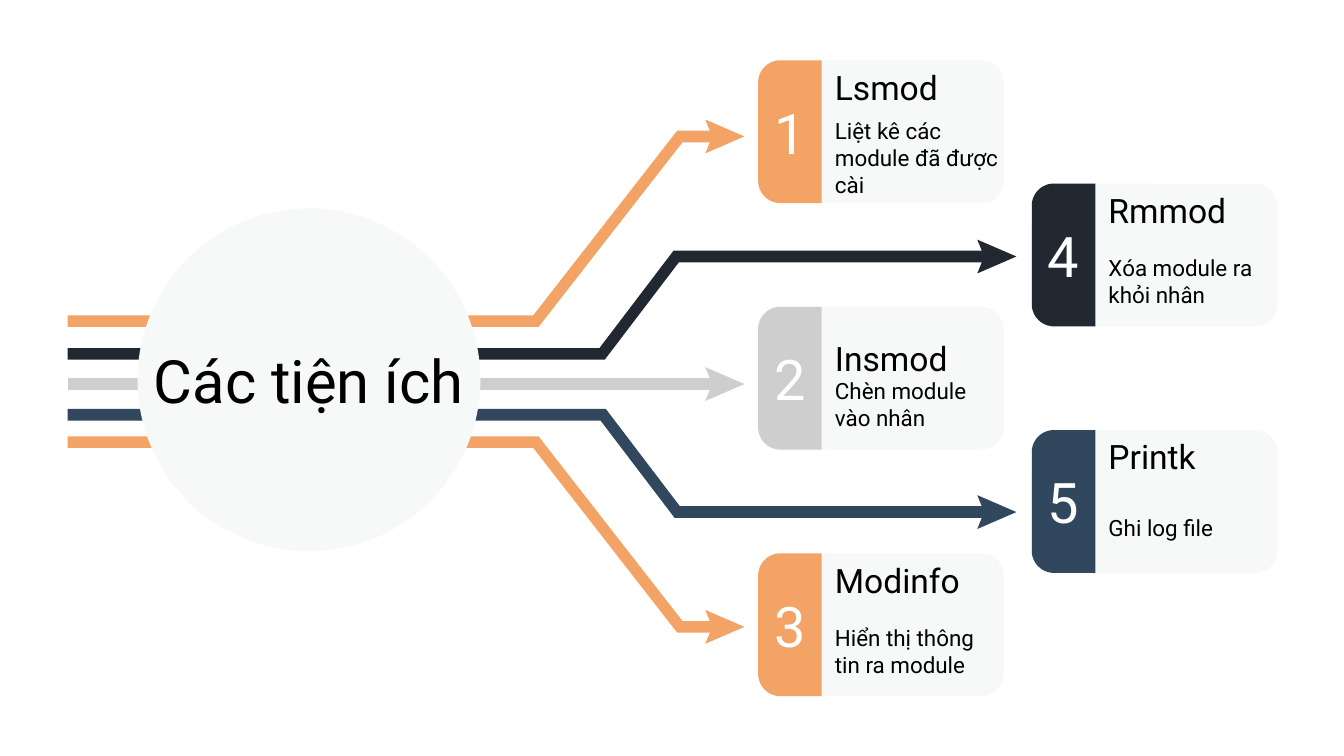
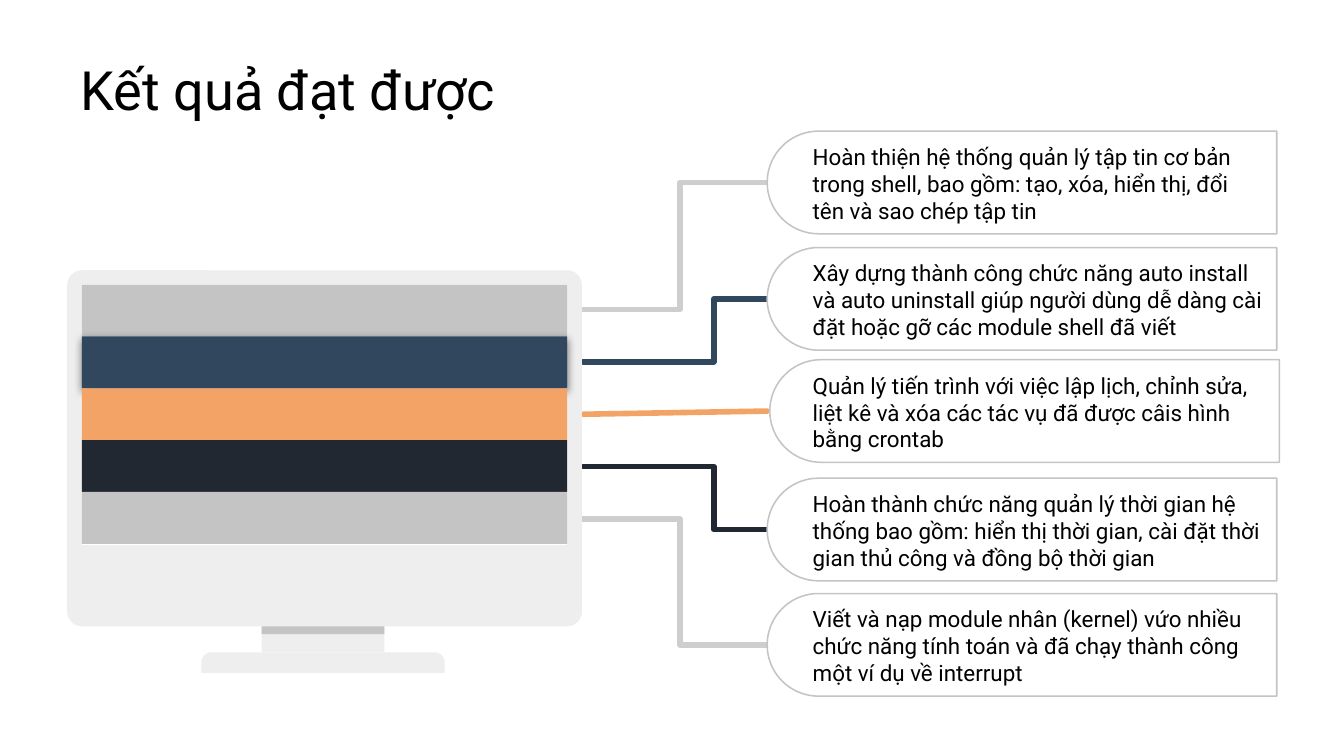
import math

import lxml.etree
import pptx
import pptx.dml.color
import pptx.enum.shapes
import pptx.enum.text
import pptx.oxml.ns
import pptx.util

Cm = pptx.util.Cm
SHAPES = pptx.enum.shapes.MSO_SHAPE
CONNECTORS = pptx.enum.shapes.MSO_CONNECTOR
ALIGN = pptx.enum.text.PP_ALIGN
qn = pptx.oxml.ns.qn

FONT = "Roboto"
COLORS = {
    "orange": "F2A365",
    "navy": "222831",
    "blue": "30475E",
    "silver": "CECECE",
    "gray": "C4C4C4",
    "frame": "EEEEEE",
    "pale": "F7F9F9",
    "white": "FFFFFF",
    "black": "000000",
}

UTILITIES = [
    dict(number="1", color="orange", name="Lsmod", detail="Liệt kê các module đã được cài",
         column=0, row=0, detail_width=3.68),
    dict(number="4", color="navy", name="Rmmod", detail="Xóa module ra khỏi nhân",
         column=1, row=1),
    dict(number="2", color="silver", name="Insmod", detail="Chèn module vào nhân",
         column=0, row=2, name_drop=0.46),
    dict(number="5", color="blue", name="Printk", detail="Ghi log file",
         column=1, row=3),
    dict(number="3", color="orange", name="Modinfo", detail="Hiển thị thông tin ra module",
         column=0, row=4),
]

PIPES = [
    dict(color="silver", start_y=7.26, end_y=7.26, bends=(), tip=14.07),
    dict(color="orange", start_y=6.07, end_y=2.58, bends=(10.13, 12.85), tip=14.07),
    dict(color="navy", start_y=6.69, end_y=4.85, bends=(11.38, 12.78), tip=19.21),
    dict(color="blue", start_y=7.84, end_y=9.68, bends=(11.4, 12.8), tip=19.21),
    dict(color="orange", start_y=8.36, end_y=11.85, bends=(10.13, 12.85), tip=14.07),
]

RESULTS = [
    dict(text="Hoàn thiện hệ thống quản lý tập tin cơ bản trong shell, bao gồm: tạo, xóa, "
              "hiển thị, đổi tên và sao chép tập tin",
         row="gray", link="silver", middle=3.45, turn=12.85),
    dict(text="Xây dựng thành công chức năng auto install và auto uninstall giúp người dùng "
              "dễ dàng cài đặt hoặc gỡ các module shell đã viết",
         row="blue", link="blue", middle=5.65, turn=13.49),
    dict(text="Quản lý tiến trình với việc lập lịch, chỉnh sửa, liệt kê và xóa các tác vụ "
              "đã được câis hình bằng crontab",
         row="orange", link="orange", middle=7.77, left=14.55),
    dict(text="Hoàn thành chức năng quản lý thời gian hệ thống bao gồm: hiển thị thời gian, "
              "cài đặt thời gian thủ công và đồng bộ thời gian",
         row="navy", link="navy", middle=10.01, turn=13.49),
    dict(text="Viết và nạp module nhân (kernel) vứo nhiều chức năng tính toán và đã chạy "
              "thành công một ví dụ về interrupt",
         row="gray", link="silver", middle=12.19, turn=12.85),
]


def rgb(name):
    return pptx.dml.color.RGBColor.from_string(COLORS[name])


def paint(shape, fill, line=None):
    shape.shadow.inherit = False
    shape.fill.solid()
    shape.fill.fore_color.rgb = rgb(fill)
    if line:
        shape.line.color.rgb = rgb(line)
        shape.line.width = pptx.util.Pt(0.81)
    else:
        shape.line.fill.background()
    return shape


def write(shape, text, size=12, color="black", align=ALIGN.LEFT, wrap=True):
    frame = shape.text_frame
    frame.word_wrap = wrap
    frame.vertical_anchor = pptx.enum.text.MSO_ANCHOR.MIDDLE
    frame.margin_left = frame.margin_right = Cm(0.25)
    frame.margin_top = frame.margin_bottom = Cm(0.25)
    paragraph = frame.paragraphs[0]
    paragraph.alignment = align
    run = paragraph.add_run()
    run.text = text
    run.font.name = FONT
    run.font.size = pptx.util.Pt(size)
    run.font.color.rgb = rgb(color)


def add_text(slide, box, text, **text_format):
    write(slide.shapes.add_textbox(*map(Cm, box)), text, **text_format)


def add_preset(slide, kind, box, fill, radius=None):
    shape = slide.shapes.add_shape(kind, *map(Cm, box))
    if radius:
        shape.adjustments[0] = radius / min(box[2:])
    return paint(shape, fill)


def add_outline(slide, points, fill, line=None):
    points = [(Cm(x), Cm(y)) for x, y in points]
    builder = slide.shapes.build_freeform(*points[0], scale=1.0)
    builder.add_line_segments(points[1:], close=True)
    return paint(builder.convert_to_shape(), fill, line)


def add_left_rounded(slide, box, radius, fill, line=None):
    left, top, width, height = box
    points = [(left + width, top)]
    for center_y, first in ((top + radius, 90), (top + height - radius, 180)):
        for degrees in range(first, first + 91, 5):
            angle = math.radians(degrees)
            points.append((left + radius + radius * math.cos(angle),
                           center_y - radius * math.sin(angle)))
    points.append((left + width, top + height))
    return add_outline(slide, points, fill, line)


def add_pipe(slide, color, start_y, end_y, bends, tip):
    half, miter = 0.11, 0.05
    lean = math.copysign(miter, start_y - end_y)
    route = [(1.28, start_y, 0)]
    route += [(x, y, lean) for x, y in zip(bends, (start_y, end_y))]
    route.append((tip - 0.5, end_y, 0))
    upper = [(x - shift, y - half) for x, y, shift in route]
    lower = [(x + shift, y + half) for x, y, shift in route]
    add_outline(slide, upper + lower[::-1], color)
    back = tip - 0.74
    add_outline(slide, [(back, end_y - 0.32), (back + 0.13, end_y),
                        (back, end_y + 0.32), (tip, end_y)], color)


def add_card(slide, box, number, color, name, detail, detail_width=3.45, name_drop=0):
    left, top, width, height = box
    radius, tab = 0.42, 1.2
    add_preset(slide, SHAPES.ROUNDED_RECTANGLE, box, "pale", radius)
    label = add_left_rounded(slide, (left, top, tab, height), radius, color)
    write(label, number, size=30, color="white", align=ALIGN.CENTER)
    add_text(slide, (left + tab, top + name_drop, 3.45, 1), name, size=18)
    add_text(slide, (left + tab, top + 1.02, detail_width, 1.65), detail)


def add_monitor(slide, box):
    left, top, width, height = box
    center = left + width / 2 - 0.03
    bottom = top + height
    screen_left, screen_width, row_height = left + 0.28, 9.17, 0.98
    add_preset(slide, SHAPES.ROUNDED_RECTANGLE, box, "frame", 0.28)
    add_preset(slide, SHAPES.RECTANGLE, (screen_left, top + 0.26, screen_width, 4.93), "white")
    add_preset(slide, SHAPES.RECTANGLE, (center - 1.16, bottom, 2.32, 0.49), "frame")
    add_preset(slide, SHAPES.ROUND_2_SAME_RECTANGLE,
               (center - 2.3, bottom + 0.49, 4.6, 0.39), "frame", 0.39).adjustments[0] = 0.5
    add_preset(slide, SHAPES.RECTANGLE, (center - 1.16, bottom, 2.32, 0.15), "gray")
    for index, result in enumerate(RESULTS):
        row_top = top + 0.27 + index * row_height
        row = add_preset(slide, SHAPES.RECTANGLE,
                         (screen_left, row_top, screen_width, row_height), result["row"])
        if result["row"] == "blue":
            add_shadow(row)


def add_shadow(shape):
    effects = shape._element.spPr.find(qn("a:effectLst"))
    shadow = lxml.etree.SubElement(effects, qn("a:outerShdw"), blurRad="57150",
                                   dist="19050", dir="5400000", algn="bl", rotWithShape="0")
    color = lxml.etree.SubElement(shadow, qn("a:srgbClr"), val=COLORS["black"])
    lxml.etree.SubElement(color, qn("a:alpha"), val="50000")


def add_link(slide, start, end, color, turn=None):
    kind = CONNECTORS.ELBOW if turn else CONNECTORS.STRAIGHT
    connector = slide.shapes.add_connector(kind, *map(Cm, start + end))
    connector.line.color.rgb = rgb(color)
    connector.line.width = pptx.util.Pt(3)
    properties = connector._element.spPr
    line = properties.find(qn("a:ln"))
    line.set("cap", "rnd")
    lxml.etree.SubElement(line, qn("a:round"))
    lxml.etree.SubElement(properties, qn("a:effectLst"))
    if turn:
        share = round((turn - start[0]) / (end[0] - start[0]) * 100000)
        guides = properties.find(qn("a:prstGeom")).find(qn("a:avLst"))
        lxml.etree.SubElement(guides, qn("a:gd"), name="adj1", fmla=f"val {share}")


def build_utilities(slide):
    for pipe in PIPES:
        add_pipe(slide, **pipe)
    hub = add_preset(slide, SHAPES.OVAL, (2.6, 3.94, 6.48, 6.48), "pale")
    write(hub, "Các tiện ích", size=32, align=ALIGN.CENTER, wrap=False)
    for utility in UTILITIES:
        content = dict(utility)
        left = 14.33 + 5.17 * content.pop("column")
        top = 1.14 + 2.33 * content.pop("row")
        add_card(slide, (left, top, 4.64, 2.7), **content)


def build_results(slide):
    callout_left, callout_width, callout_height = 14.5, 9.63, 1.94
    for index, result in enumerate(RESULTS):
        add_link(slide, (11.02, 5.85 + 0.99 * index), (callout_left, result["middle"]),
                 result["link"], result.get("turn"))
    for result in RESULTS:
        left = result.get("left", callout_left)
        top = result["middle"] - callout_height / 2
        add_left_rounded(slide, (left, top, callout_width, callout_height),
                         callout_height / 2, "white", "gray")
    add_monitor(slide, (1.27, 5.11, 9.73, 6.73))
    add_text(slide, (1.27, 1.14, 13.51, 1.07), "Kết quả đạt được", size=29)
    for result in RESULTS:
        add_text(slide, (15.11, result["middle"] - 0.63, 9.02, 1.3), result["text"])


def main():
    presentation = pptx.Presentation()
    presentation.slide_width = Cm(25.4)
    presentation.slide_height = Cm(14.29)
    for build in (build_utilities, build_results):
        build(presentation.slides.add_slide(presentation.slide_layouts[6]))
    presentation.save("out.pptx")


if __name__ == "__main__":
    main()
